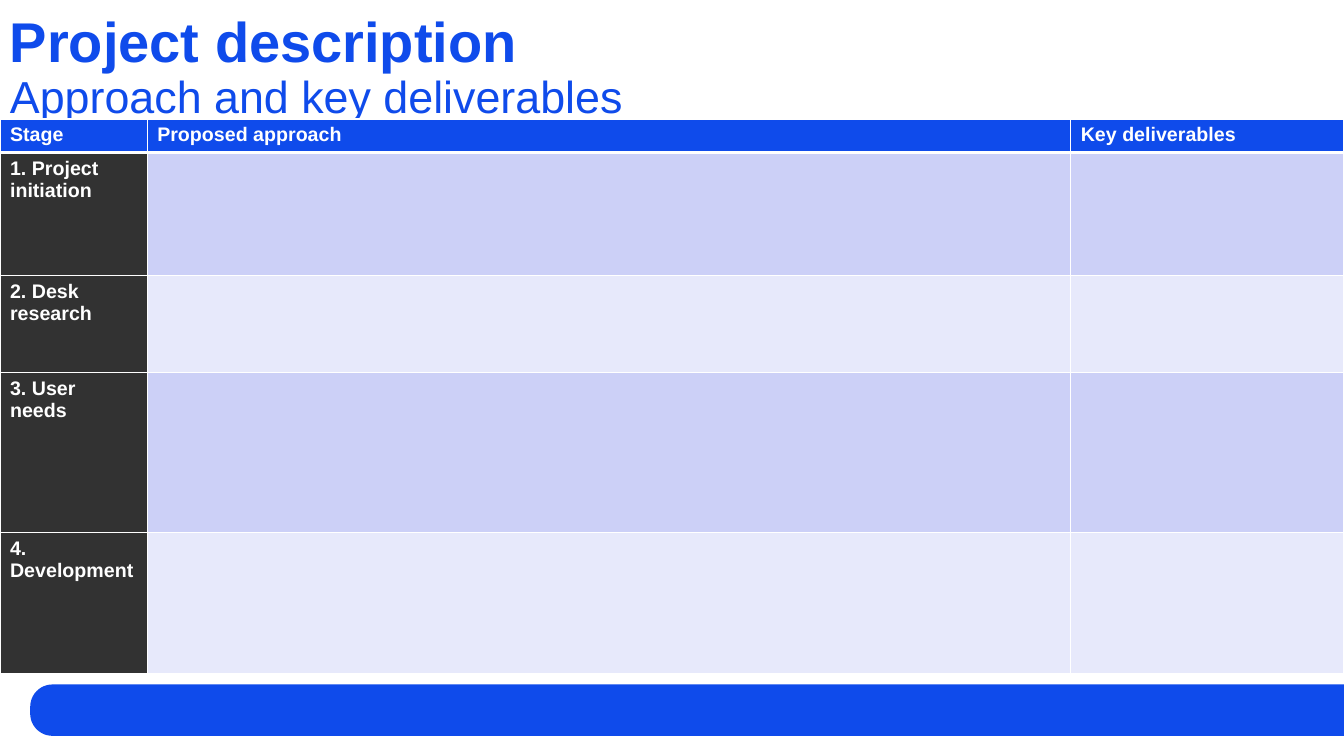
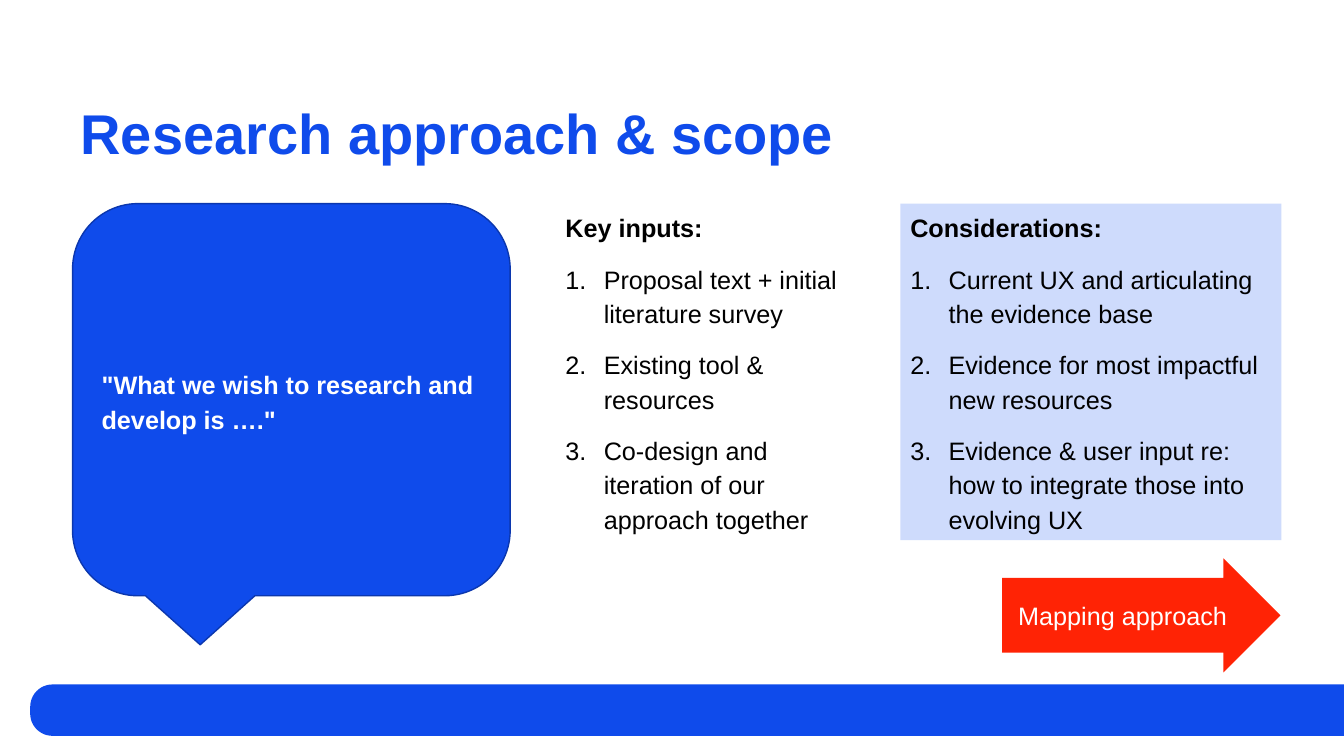
from lxml import etree
from pptx import Presentation
from pptx.dml.color import RGBColor
from pptx.enum.shapes import MSO_SHAPE
from pptx.enum.text import MSO_ANCHOR, PP_ALIGN
from pptx.oxml.ns import qn
from pptx.util import Inches, Pt

BAND = MSO_SHAPE.ROUND_2_SAME_RECTANGLE
CALLOUT = MSO_SHAPE.ROUNDED_RECTANGULAR_CALLOUT
PANEL = MSO_SHAPE.RECTANGLE
ARROW = MSO_SHAPE.RIGHT_ARROW
TOP, MIDDLE = MSO_ANCHOR.TOP, MSO_ANCHOR.MIDDLE
LEFT, CENTER = PP_ALIGN.LEFT, PP_ALIGN.CENTER

COLORS = {
    "blue": "0F4BEB", "navy": "0B37AE", "pale": "CEDBFC", "red": "FF2305",
    "dark": "323232", "odd": "CCD0F7", "even": "E7E9FB",
    "white": "FFFFFF", "black": "000000",
}
TITLE = {"line_spacing": 0.9}
BODY = {"line_spacing": 1.14}
LIST = {"line_spacing": 1.14, "space_after": Pt(12)}


def color(name):
    return RGBColor.from_string(COLORS[name])


class Deck:
    """Holds the shared style and the slide being built."""

    def __init__(self):
        self.prs = Presentation()
        self.prs.slide_width = Inches(13.33)
        self.prs.slide_height = Inches(7.5)
        self.slide = None

    def new_slide(self, title, left, top, subtitle=None):
        self.slide = self.prs.slides.add_slide(self.prs.slide_layouts[6])
        # Footer band, turned so that its rounded end faces left
        band = self.shape(BAND, 6.56, 0.53, 0.51, 13.03, "blue", adjustments=(0.433, 0))
        band.rotation = 270
        # Title with optional subtitle
        frame = self.text_box(left, top, 11.29, 1.34, MIDDLE)
        self.add_text(frame, title, 40, "blue", bold=True, **TITLE)
        if subtitle:
            self.add_text(frame, subtitle, 32, "blue", **TITLE)

    def add_text(self, frame, text, size, ink, bold=False, numbered=False, **layout):
        """Adds a paragraph, using the empty first one if it is free."""
        first = frame.paragraphs[0]
        paragraph = frame.add_paragraph() if first.runs else first
        for name, value in {"alignment": LEFT, **layout}.items():
            setattr(paragraph, name, value)
        if numbered:
            props = paragraph._p.get_or_add_pPr()
            props.set("marL", str(Inches(0.38)))
            props.set("indent", str(-Inches(0.38)))
            etree.SubElement(props, qn("a:buFont"), typeface="+mj-lt")
            etree.SubElement(props, qn("a:buAutoNum"), type="arabicPeriod")
        run = paragraph.add_run()
        run.text = text
        for name, value in {"name": "Arial", "size": Pt(size), "bold": bold}.items():
            setattr(run.font, name, value)
        run.font.color.rgb = color(ink)

    def text_box(self, left, top, width, height, anchor=TOP):
        box = self.slide.shapes.add_textbox(*map(Inches, (left, top, width, height)))
        box.text_frame.word_wrap = True
        box.text_frame.vertical_anchor = anchor
        return box.text_frame

    def shape(self, kind, left, top, width, height, fill, line=None,
              adjustments=(), anchor=MIDDLE):
        shape = self.slide.shapes.add_shape(kind, *map(Inches, (left, top, width, height)))
        shape.shadow.inherit = False
        shape.fill.solid()
        shape.fill.fore_color.rgb = color(fill)
        if line:
            shape.line.color.rgb = color(line)
            shape.line.width = Pt(1)
        else:
            shape.line.fill.background()
        for index, value in enumerate(adjustments):
            shape.adjustments[index] = value
        shape.text_frame.word_wrap = True
        shape.text_frame.vertical_anchor = anchor
        return shape

    def numbered_list(self, frame, heading, items):
        self.add_text(frame, heading, 18, "black", bold=True, **LIST)
        for item in items:
            self.add_text(frame, item, 18, "black", numbered=True, **LIST)

    def border(self, cell, **widths):
        props = cell._tc.get_or_add_tcPr()
        for side in "LRTB":
            line = etree.SubElement(props, qn("a:ln" + side),
                                    w=str(Pt(widths.get(side, 1))))
            solid = etree.SubElement(line, qn("a:solidFill"))
            etree.SubElement(solid, qn("a:srgbClr"), val=COLORS["white"])

    def stage_table(self, left, top, widths, heights, headers, stages):
        table = self.slide.shapes.add_table(
            len(heights), len(widths), Inches(left), Inches(top),
            Inches(sum(widths)), Inches(sum(heights))).table
        for column, width in zip(table.columns, widths):
            column.width = Inches(width)
        for row, height in zip(table.rows, heights):
            row.height = Inches(height)
        texts = [headers] + [(stage, "", "") for stage in stages]
        for r, row_texts in enumerate(texts):
            for c, text in enumerate(row_texts):
                cell = table.cell(r, c)
                # A thick rule separates the header from the stages
                self.border(cell, **{0: {"B": 3}, 1: {"T": 3}}.get(r, {}))
                if r == 0:
                    fill = "blue"
                elif c == 0:
                    fill = "dark"
                else:
                    fill = "odd" if r % 2 else "even"
                cell.fill.solid()
                cell.fill.fore_color.rgb = color(fill)
                if text:
                    self.add_text(cell.text_frame, text, 14, "white", bold=True)


def main():
    deck = Deck()

    # Slide 1: stages of the project
    deck.new_slide("Project description", 0, 0.01, "Approach and key deliverables")
    deck.stage_table(
        0, 1.18, (1.46, 9.16, 2.71), (0.31, 1.22, 0.96, 1.59, 1.4),
        ("Stage", "Proposed approach", "Key deliverables"),
        ("1. Project initiation", "2. Desk research", "3. User needs", "4. Development"))

    # Slide 2: research question, inputs and considerations
    deck.new_slide("Research approach & scope", 0.7, 0.68)
    row_top, list_height = 2.02, 3.34
    question = deck.shape(CALLOUT, 0.72, row_top, 4.34, 3.89, "blue", "navy")
    deck.add_text(question.text_frame, '"What we wish to research and develop is …."',
                  18, "white", bold=True, **BODY)

    considerations = deck.shape(PANEL, 8.93, row_top, 3.78, list_height, "pale", anchor=TOP)
    deck.numbered_list(considerations.text_frame, "Considerations:", (
        "Current UX and articulating the evidence base",
        "Evidence for most impactful new resources",
        "Evidence & user input re: how to integrate those into evolving UX"))

    inputs = deck.text_box(5.51, row_top, 3.09, list_height)
    deck.numbered_list(inputs, "Key inputs:", (
        "Proposal text + initial literature survey",
        "Existing tool & resources",
        "Co-design and iteration of our approach together"))

    mapping = deck.shape(ARROW, 9.94, 5.54, 2.76, 1.13, "red", adjustments=(0.657, 0.5))
    deck.add_text(mapping.text_frame, "Mapping approach", 18, "white", alignment=CENTER)

    deck.prs.save("out.pptx")


if __name__ == "__main__":
    main()
